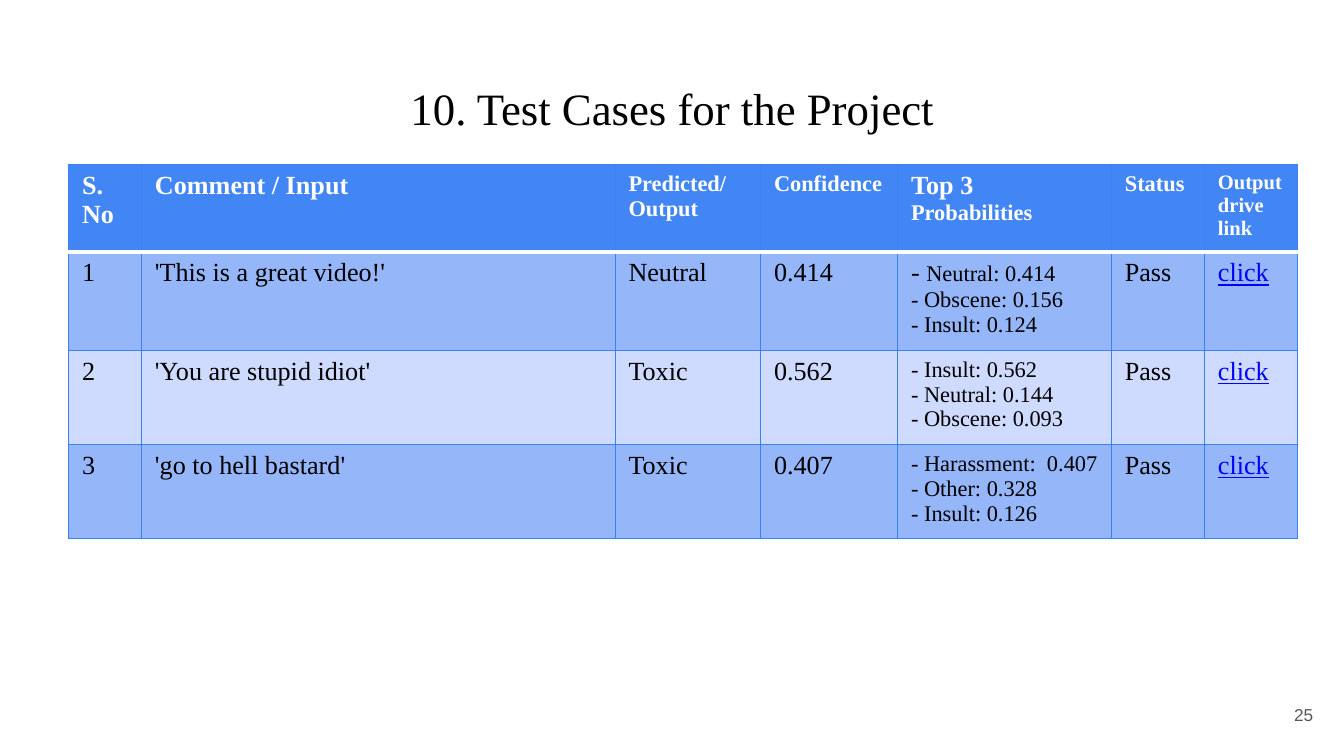
"""Build the test case results slide with its table."""
from lxml import etree
from pptx import Presentation
from pptx import util as u
from pptx.dml.color import RGBColor
from pptx.enum import text
from pptx.oxml.ns import qn

SERIF = "Times New Roman"
HEADER, BAND, LIGHT = "4285F4", "96B6FA", "CFDAFF"
GRID, WHITE, BLACK, LINK = "3C81F3", "FFFFFF", "000000", "0000FF"


def style(span, size, color, name=SERIF):
    span.font.size = u.Pt(size)
    span.font.name = name
    span.font.color.rgb = RGBColor.from_string(color)


def add_border(cell, side, color, width):
    line = etree.SubElement(cell._tc.get_or_add_tcPr(), qn(f"a:ln{side}"), w=str(u.Pt(width)))
    fill = etree.SubElement(line, qn("a:solidFill"))
    etree.SubElement(fill, qn("a:srgbClr"), val=color)


deck = Presentation()
deck.slide_width, deck.slide_height = u.Cm(25.4), u.Cm(14.29)
page = deck.slides.add_slide(deck.slide_layouts[6])

labels = [
    ("10. Test Cases for the Project", (0.87, 1.24, 23.67, 1.6), 24, SERIF, BLACK, text.PP_ALIGN.CENTER),
    ("25", (24.13, 13.06, 0.94, 0.89), 9.2, "Arial", "585858", text.PP_ALIGN.RIGHT),
]
for words, place, size, font, color, align in labels:
    box = page.shapes.add_textbox(*(u.Cm(length) for length in place))
    frame = box.text_frame
    frame.word_wrap = True
    frame.vertical_anchor = text.MSO_ANCHOR.MIDDLE
    frame.margin_left = frame.margin_right = u.Cm(0.25)
    frame.margin_top = frame.margin_bottom = u.Cm(0.25)
    frame.text = words
    frame.paragraphs[0].alignment = align
    style(frame.paragraphs[0].runs[0], size, color, font)

# fmt: off
rows = [
    ["S. No", "Comment / Input", "Predicted/ Output", "Confidence",
     "Top 3 |Probabilities", "Status", "Output drive link"],
    ["1", "'This is a great video!'", "Neutral", "0.414",
     "- |Neutral: 0.414\n- Obscene: 0.156\n- Insult: 0.124", "Pass", "click"],
    ["2", "'You are stupid idiot'", "Toxic", "0.562",
     "- Insult: 0.562\n- Neutral: 0.144\n- Obscene: 0.093", "Pass", "click"],
    ["3", "'go to hell bastard'", "Toxic", "0.407",
     "- Harassment:  0.407\n- Other: 0.328\n- Insult: 0.126", "Pass", "click"],
]
# fmt: on
widths = [1.38, 8.95, 2.75, 2.59, 4.04, 1.76, 1.76]
heights = [1.54, 1.74, 1.66, 1.66]
header_sizes = [14, 14, 12, 12, 12, 12, 11]
body_sizes = [14, 14, 14, 14, 12, 14, 14]
fills = [HEADER, BAND, LIGHT, BAND]

table = page.shapes.add_table(
    len(rows), len(widths), u.Cm(1.3), u.Cm(3.11), u.Cm(sum(widths)), u.Cm(sum(heights))
).table
for column, width in zip(table.columns, widths):
    column.width = u.Cm(width)

for r, row in enumerate(rows):
    table.rows[r].height = u.Cm(heights[r])
    sizes = body_sizes if r else header_sizes
    for c, words in enumerate(row):
        cell = table.cell(r, c)
        cell.margin_left = cell.margin_right = u.Cm(0.25)
        for side in "LRTB":
            under_header = (r, side) in [(0, "B"), (1, "T")]
            add_border(cell, side, *((WHITE, 2) if under_header else (GRID, 0.75)))
        cell.fill.solid()
        cell.fill.fore_color.rgb = RGBColor.from_string(fills[r])
        cell.text_frame.text = words.replace("|", "")
        for para, line in zip(cell.text_frame.paragraphs, words.split("\n")):
            lead, mark, rest = line.rpartition("|")
            para.runs[0].text = lead or rest
            if lead:
                para.add_run().text = rest
            for span in para.runs:
                is_link = r > 0 and c == len(widths) - 1
                size = 14 if lead and span.text == lead else sizes[c]
                style(span, size, LINK if is_link else BLACK if r else WHITE)
                span.font.bold = r == 0
                span.font.underline = is_link

deck.save("out.pptx")
